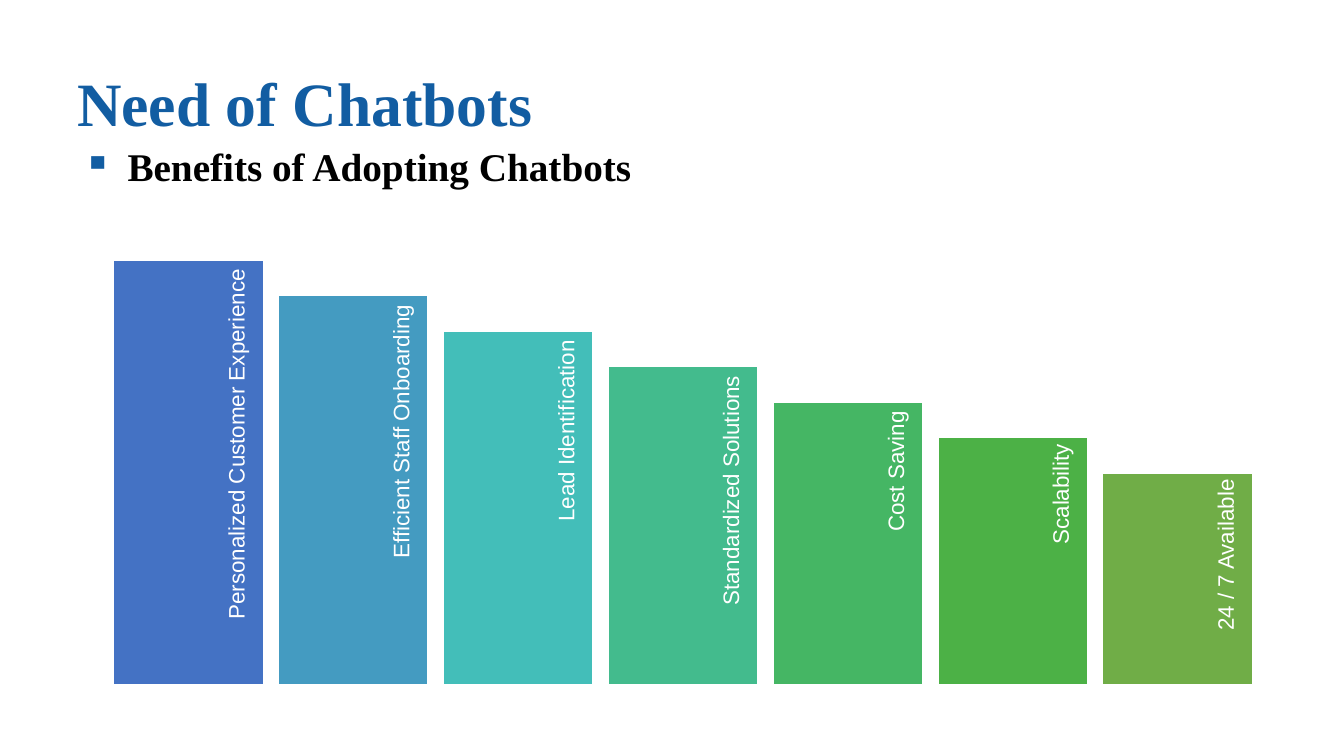
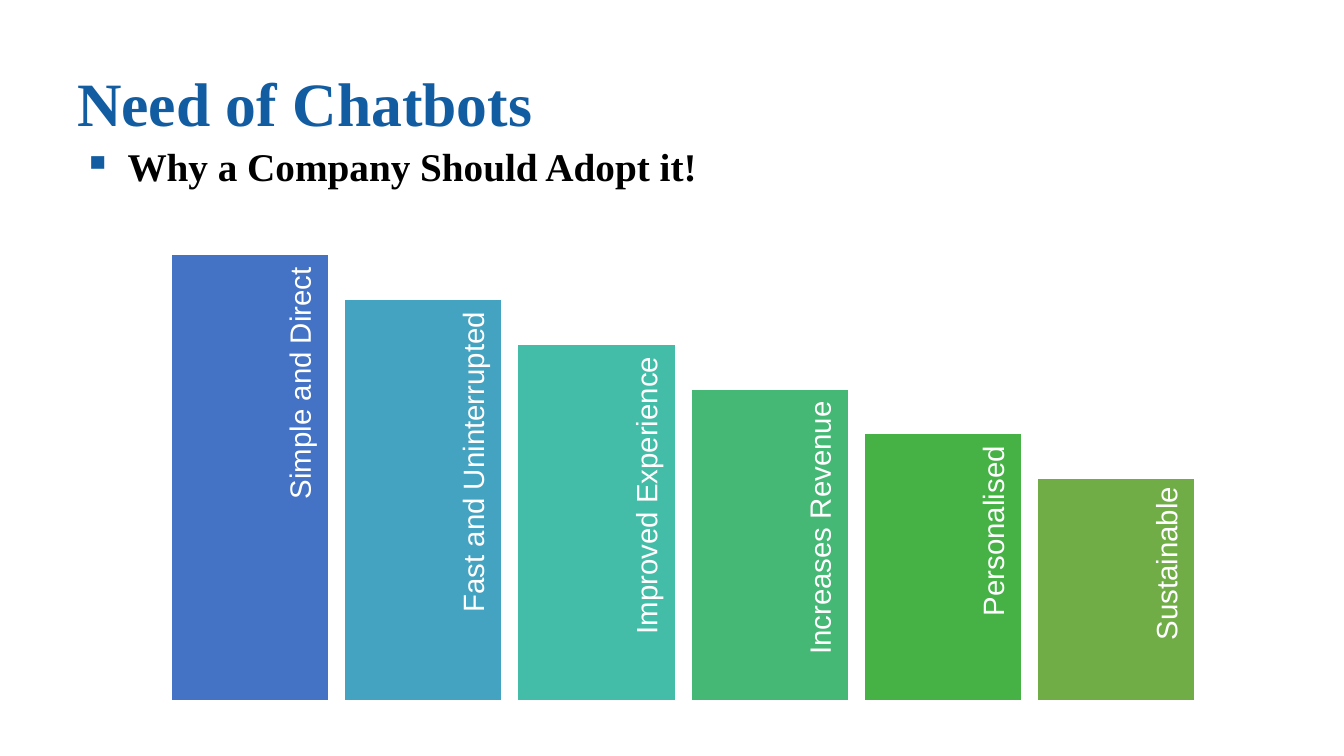
from lxml.etree import SubElement
from pptx import Presentation
from pptx.dml.color import RGBColor
from pptx.enum.shapes import MSO_SHAPE
from pptx.enum.text import MSO_ANCHOR, PP_ALIGN
from pptx.oxml.ns import qn
from pptx.util import Inches, Pt

WIDE, HIGH = Inches(13.33), Inches(7.5)
BLUE, BLACK, WHITE = "125DA2", "000000", "FFFFFF"
SERIF, SANS = "Times New Roman", "Arial"

# Boxes in percent of the slide: left, top, width, height
HEAD = (5, 3.87, 90, 20.4)
LEAD = (5, 18.93, 88.37, 9.33)

GAP = 0.09      # space between bars, share of a bar's width
LAST = 0.5      # height of the last bar, share of the first
STRIP = 0.26    # label thickness, share of a bar's width
INSET = 0.17    # label axis from the bar's right edge, share of its width

# Each slide: title, lead line, chart box, label size, bars
PAGES = [
    ("Need of Chatbots", "Benefits of Adopting Chatbots",
     (8.4, 34.3, 84.85, 56.4), 16, [
         ("Personalized Customer Experience", "4472C4"),
         ("Efficient Staff Onboarding", "449BC1"),
         ("Lead Identification", "43BEB9"),
         ("Standardized Solutions", "43BB8D"),
         ("Cost Saving", "45B664"),
         ("Scalability", "4CB146"),
         ("24 / 7 Available", "70AD47")]),
    ("Need of Chatbots", "Why a Company Should Adopt it!",
     (12.68, 33.6, 76.3, 59.2), 21, [
         ("Simple and Direct", "4472C4"),
         ("Fast and Uninterrupted", "44A3C0"),
         ("Improved Experience", "43BDA7"),
         ("Increases Revenue", "44B874"),
         ("Personalised", "46B246"),
         ("Sustainable", "70AD47")]),
]


def color(code):
    return RGBColor.from_string(code)


def place(box):
    """Turn percentages into slide lengths."""
    left, top, width, height = box
    return (int(WIDE * left / 100), int(HIGH * top / 100),
            int(WIDE * width / 100), int(HIGH * height / 100))


def write(slide, box, text, size, font, ink, bold=False):
    """Add a one-paragraph text box; return its shape and paragraph."""
    shape = slide.shapes.add_textbox(*(int(side) for side in box))
    shape.text_frame.word_wrap = True
    para = shape.text_frame.paragraphs[0]
    para.text = text
    para.line_spacing = 0.9
    para.font.size = Pt(size)
    para.font.name = font
    para.font.bold = bold
    para.font.color.rgb = color(ink)
    return shape, para


def bullet(para, mark, ink):
    """Give a paragraph a coloured bullet with a hanging indent."""
    props = para._p.get_or_add_pPr()
    props.set("marL", str(Inches(0.5)))
    props.set("indent", str(Inches(-0.44)))
    tint = SubElement(props, qn("a:buClr"))
    SubElement(tint, qn("a:srgbClr")).set("val", ink)
    SubElement(props, qn("a:buChar")).set("char", mark)


def header(slide, title, lead):
    shape, _ = write(slide, place(HEAD), title, 44, SERIF, BLUE, True)
    shape.text_frame.vertical_anchor = MSO_ANCHOR.MIDDLE
    _, para = write(slide, place(LEAD), lead, 28, SERIF, BLACK, True)
    para.space_before = Pt(10)
    bullet(para, "▪", BLUE)


def label(slide, bar, text, size):
    """Write upward along the right edge of a bar, ending at its top."""
    left, top, width, height = bar
    span, thick = 0.9 * height, STRIP * width
    axis = left + width * (1 - INSET)
    middle = top + span / 2
    box = (axis - span / 2, middle - thick / 2, span, thick)
    shape, para = write(slide, box, text, size, SANS, WHITE)
    shape.rotation = 270
    para.alignment = PP_ALIGN.RIGHT
    frame = shape.text_frame
    frame.vertical_anchor = MSO_ANCHOR.MIDDLE
    frame.margin_top, frame.margin_bottom = 0, Inches(0.02)
    frame.margin_left = Pt(0.31 * size)
    # Short bars have a tighter margin at the top
    frame.margin_right = Pt((0.31 if height < HIGH / 3 else 0.45) * size)


def stairs(slide, box, size, bars):
    """Fill the box with bars that step down evenly to the right."""
    left, top, width, height = place(box)
    count = len(bars)
    wide = width / (count + GAP * (count - 1))
    for col, (text, fill) in enumerate(bars):
        tall = height * (1 - (1 - LAST) * col / (count - 1))
        bar = (int(left + col * wide * (1 + GAP)),
               int(top + height - tall), int(wide), int(tall))
        shape = slide.shapes.add_shape(MSO_SHAPE.RECTANGLE, *bar)
        shape.shadow.inherit = False
        shape.fill.solid()
        shape.fill.fore_color.rgb = color(fill)
        shape.line.color.rgb = color(WHITE)
        shape.line.width = Pt(2)
        label(slide, bar, text, size)


def main():
    deck = Presentation()
    deck.slide_width, deck.slide_height = WIDE, HIGH
    for title, lead, box, size, bars in PAGES:
        slide = deck.slides.add_slide(deck.slide_layouts[6])
        header(slide, title, lead)
        stairs(slide, box, size, bars)
    deck.save("out.pptx")


if __name__ == "__main__":
    main()
